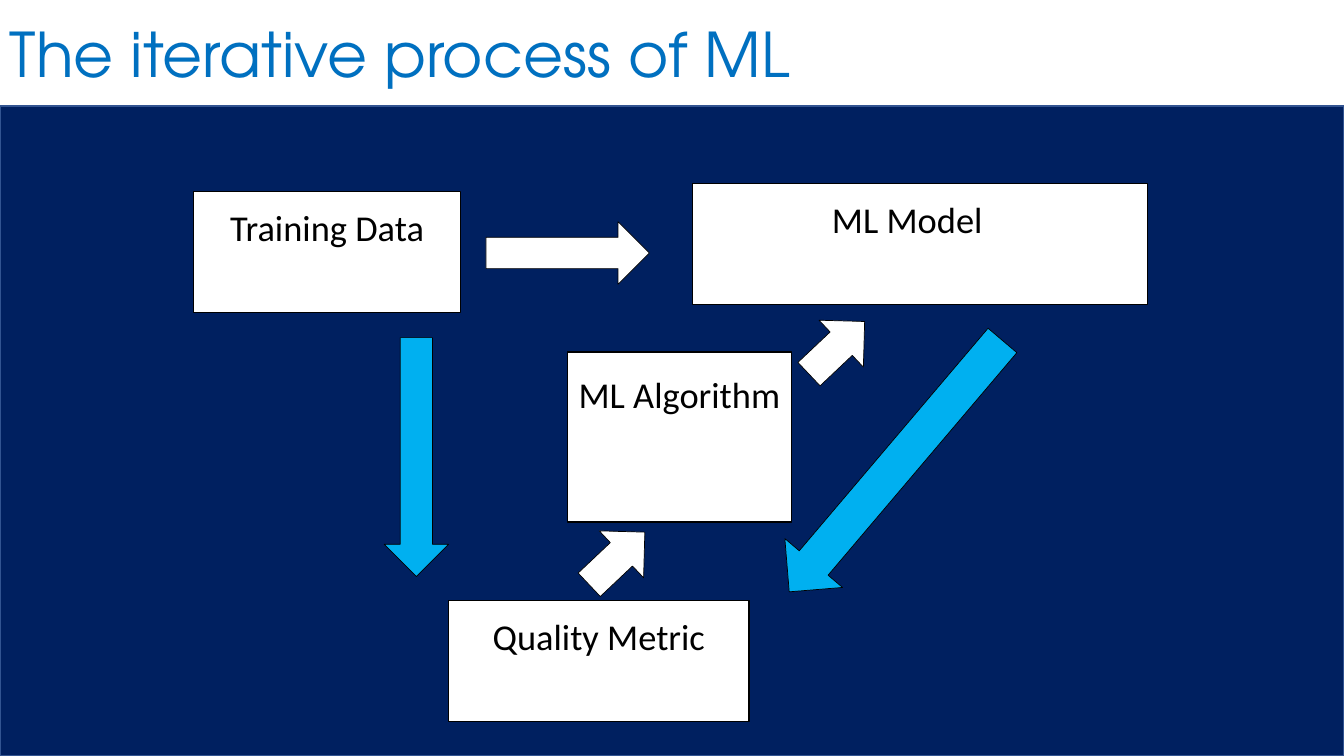
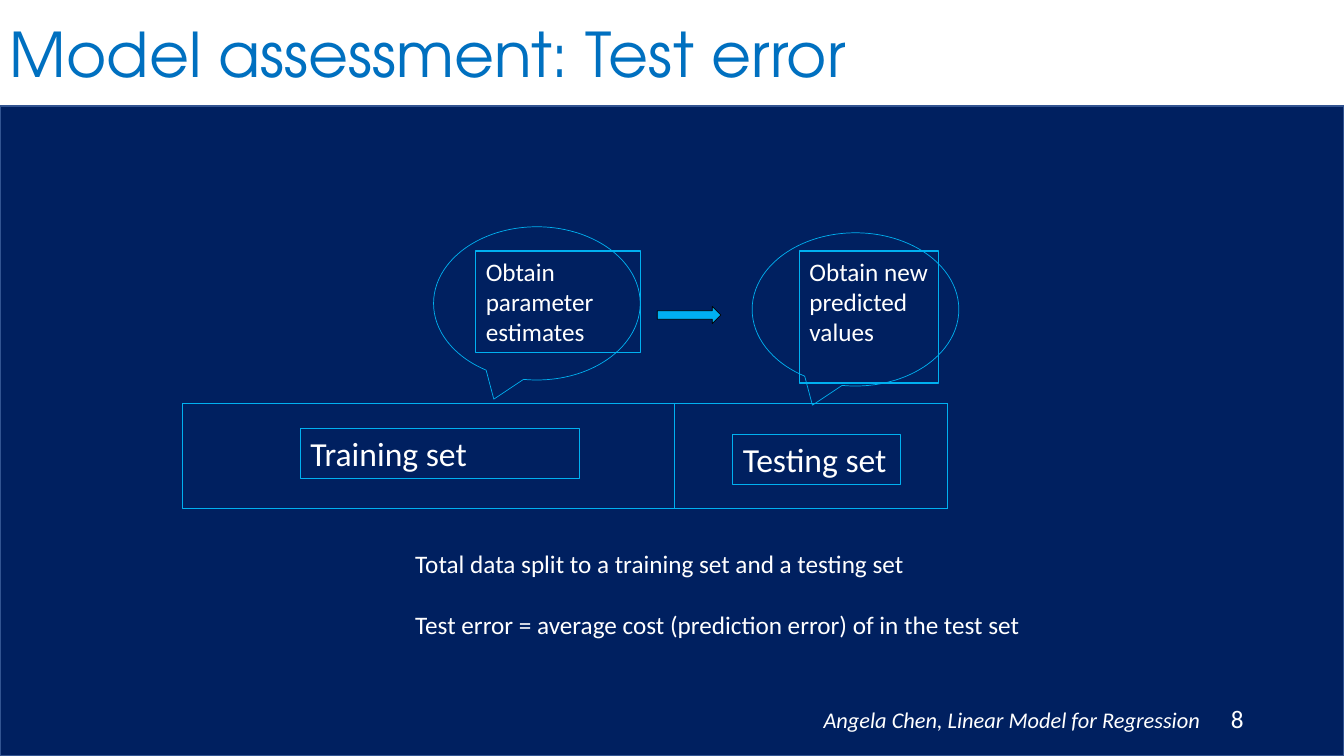
from dataclasses import dataclass

from lxml import etree
from pptx import Presentation
from pptx.dml.color import RGBColor
from pptx.enum.shapes import MSO_SHAPE as Shape
from pptx.enum.text import MSO_ANCHOR as Anchor, PP_ALIGN as Align
from pptx.oxml.ns import qn
from pptx.util import Inches, Pt


@dataclass(frozen=True)
class Theme:
    navy: str = "002060"
    band_edge: str = "325491"
    title_blue: str = "0070C0"
    sky: str = "00B0F0"
    white: str = "FFFFFF"
    black: str = "000000"
    title_font: str = "TeX Gyre Adventor"
    body_font: str = "Calibri"
    title_size: int = 44
    box_size: int = 26
    set_size: int = 24
    body_size: int = 18
    footer_size: int = 16


THEME = Theme()
SLIDE_SIZE = (13.33, 7.5)
BAND = (0, 1.05, 13.33, 6.45)
TITLE = (0, 0.19, 11.5, 0.77)

# Process slide
PROCESS_TITLE = "The iterative process of ML"
# Boxes: label, place, top inset, right inset
PROCESS_BOXES = [
    ("Training Data", (1.92, 1.9, 2.65, 1.2), 0.14, 0.1),
    ("ML Model", (6.87, 1.82, 4.51, 1.2), 0.14, 0.35),
    ("Quality Metric", (4.45, 5.96, 2.98, 1.2), 0.13, 0.1),
    ("ML Algorithm", (5.63, 3.49, 2.22, 1.69), 0.2, 0.1),
]
# Arrows: preset, place, rotation, fill
PROCESS_ARROWS = [
    (Shape.RIGHT_ARROW, (4.82, 2.2, 1.62, 0.62), 0, THEME.white),
    (Shape.DOWN_ARROW, (7.98, 3.07, 0.64, 0.76), 226.6, THEME.white),
    (Shape.DOWN_ARROW, (5.8, 5.16, 0.64, 0.76), 226.6, THEME.white),
    (Shape.DOWN_ARROW, (3.81, 3.35, 0.64, 2.37), 0, THEME.sky),
    (Shape.DOWN_ARROW, (8.51, 2.99, 0.75, 3.27), 40.3, THEME.sky),
]

# Assessment slide
ASSESSMENT_TITLE = "Model assessment: Test error"
OUTLINES = [
    (Shape.RECTANGLE, (1.81, 4, 7.59, 1.04)),
    (Shape.RECTANGLE, (6.69, 4, 2.71, 1.04)),
    (Shape.OVAL_CALLOUT, (4.3, 2.25, 2.05, 1.52)),
    (Shape.OVAL_CALLOUT, (7.46, 2.31, 2.05, 1.52)),
]
LABELS = [
    ("Training set", (2.98, 4.25, 2.77, 0.5), THEME.set_size),
    ("Testing set", (7.27, 4.31, 1.66, 0.5), THEME.set_size),
    ("Obtain parameter estimates", (4.72, 2.49, 1.63, 1.01), THEME.body_size),
    ("Obtain new predicted values", (7.93, 2.49, 1.38, 1.31), THEME.body_size),
]
STEP_ARROW = (6.52, 3.04, 0.63, 0.17)
NOTES_PLACE = (4.02, 5.39, 7.26, 1.01)
NOTES = [
    "Total data split to a training set and a testing set",
    "Test error = average cost (prediction error) of in the test set",
]
FOOTER = ("Angela Chen, Linear Model for Regression", "8")
FOOTER_PLACE = (8.07, 6.93, 4.6, 0.4)
NUMBER_TAB = 4.04


# Drawing helpers
def inches(place):
    return [Inches(length) for length in place]


def add_shape(slide, preset, place, line, width, fill=None, rotation=0):
    shape = slide.shapes.add_shape(preset, *inches(place))
    shape.shadow.inherit = False
    shape.rotation = rotation
    if fill:
        shape.fill.solid()
        shape.fill.fore_color.rgb = RGBColor.from_string(fill)
    else:
        shape.fill.background()
    shape.line.color.rgb = RGBColor.from_string(line)
    shape.line.width = Pt(width)
    return shape


def add_text_box(slide, place):
    frame = slide.shapes.add_textbox(*inches(place)).text_frame
    frame.word_wrap = True
    return frame


def add_run(paragraph, text, size, color, font=THEME.body_font, italic=False):
    run = paragraph.add_run()
    run.text = text
    run.font.name = font
    run.font.size = Pt(size)
    run.font.italic = italic
    run.font.color.rgb = RGBColor.from_string(color)


def write_in_shape(shape, text, size, color, align, top=0.05, right=0.1):
    frame = shape.text_frame
    frame.word_wrap = True
    frame.vertical_anchor = Anchor.TOP
    frame.margin_top, frame.margin_right = Inches(top), Inches(right)
    paragraph = frame.paragraphs[0]
    paragraph.alignment = align
    add_run(paragraph, text, size, color)


# Shared band and title
def add_base_slide(presentation, title):
    slide = presentation.slides.add_slide(presentation.slide_layouts[6])
    add_shape(slide, Shape.RECTANGLE, BAND, THEME.band_edge, 1, THEME.navy)
    frame = add_text_box(slide, TITLE)
    frame.vertical_anchor = Anchor.MIDDLE
    paragraph = frame.paragraphs[0]
    paragraph.line_spacing = 0.9
    add_run(paragraph, title, THEME.title_size, THEME.title_blue, THEME.title_font)
    return slide


def add_footer(slide):
    text, number = FOOTER
    paragraph = add_text_box(slide, FOOTER_PLACE).paragraphs[0]
    properties = paragraph._p.get_or_add_pPr()
    tabs = etree.SubElement(properties, qn("a:tabLst"))
    etree.SubElement(tabs, qn("a:tab"), pos=str(Inches(NUMBER_TAB)), algn="l")
    add_run(paragraph, text, THEME.footer_size, THEME.white, italic=True)
    add_run(paragraph, "\t" + number, THEME.body_size, THEME.white)


# Slides
def build_process(presentation):
    slide = add_base_slide(presentation, PROCESS_TITLE)
    for label, place, top, right in PROCESS_BOXES:
        box = add_shape(slide, Shape.RECTANGLE, place, THEME.black, 1, THEME.white)
        write_in_shape(box, label, THEME.box_size, THEME.black, Align.CENTER, top, right)
    for preset, place, rotation, fill in PROCESS_ARROWS:
        add_shape(slide, preset, place, THEME.black, 0.5, fill, rotation)


def build_assessment(presentation):
    slide = add_base_slide(presentation, ASSESSMENT_TITLE)
    for preset, place in OUTLINES:
        add_shape(slide, preset, place, THEME.sky, 0.5)
    for label, place, size in LABELS:
        box = add_shape(slide, Shape.RECTANGLE, place, THEME.sky, 0.75)
        write_in_shape(box, label, size, THEME.white, Align.LEFT)
    add_shape(slide, Shape.RIGHT_ARROW, STEP_ARROW, THEME.black, 0.5, THEME.sky)
    frame = add_text_box(slide, NOTES_PLACE)
    for index, note in enumerate(NOTES):
        paragraph = frame.add_paragraph() if index else frame.paragraphs[0]
        if index:
            paragraph.space_before = Pt(22)
        add_run(paragraph, note, THEME.body_size, THEME.white)
    add_footer(slide)


def main():
    presentation = Presentation()
    presentation.slide_width, presentation.slide_height = inches(SLIDE_SIZE)
    build_process(presentation)
    build_assessment(presentation)
    presentation.save("out.pptx")


if __name__ == "__main__":
    main()
